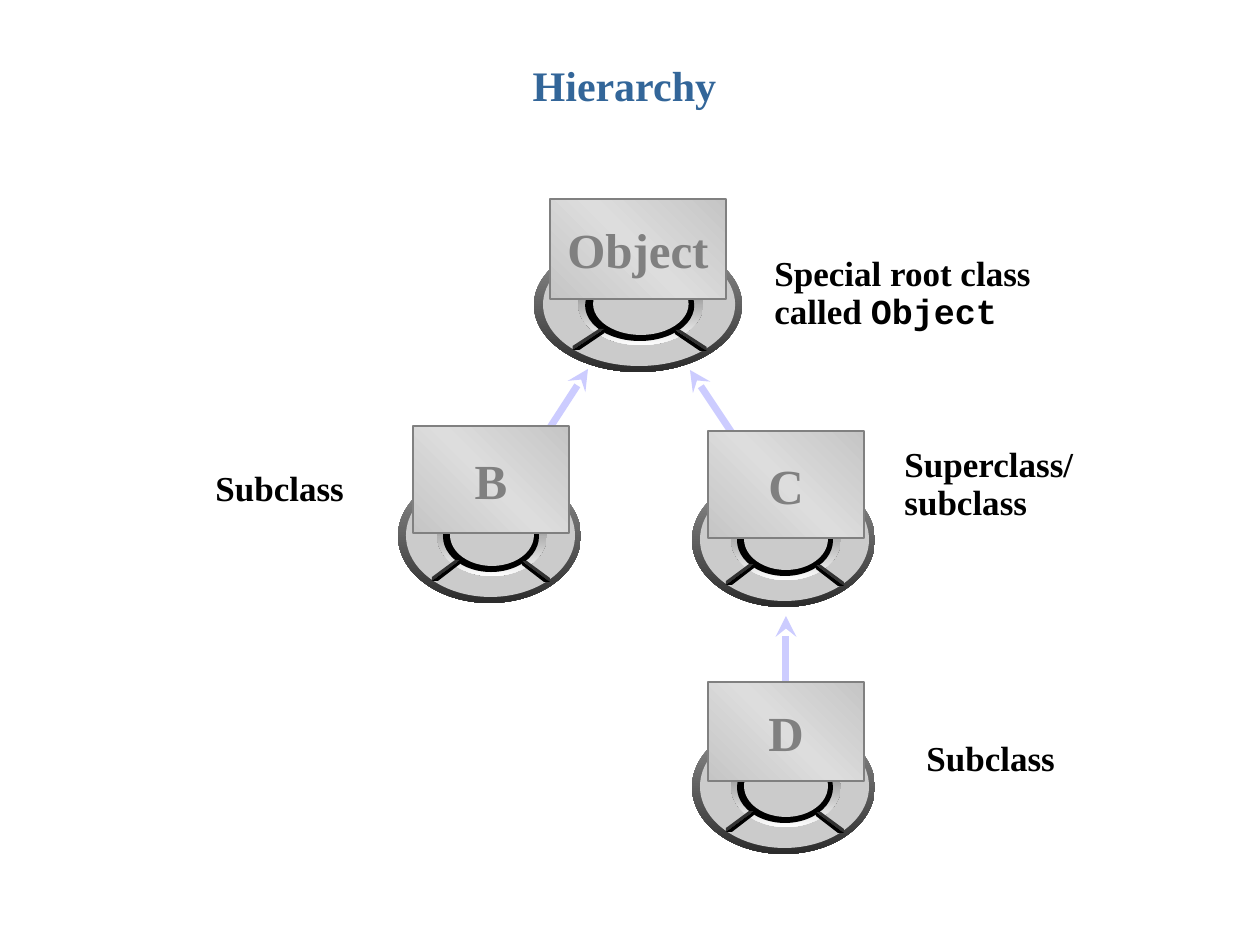
from lxml.etree import SubElement
from pptx import Presentation
from pptx.dml.color import RGBColor
from pptx.enum.shapes import MSO_CONNECTOR, MSO_SHAPE
from pptx.enum.text import MSO_ANCHOR, PP_ALIGN
from pptx.oxml.ns import qn
from pptx.util import Emu, Pt

PX_PER_INCH = 126
SERIF = "Times New Roman"
MONO = "Courier New"

BLACK = RGBColor(0x00, 0x00, 0x00)
BLUE = RGBColor(0x33, 0x66, 0x99)
LAVENDER = RGBColor(0xCC, 0xCC, 0xFF)
GREY = RGBColor(0x80, 0x80, 0x80)
SILVER = RGBColor(0xCB, 0xCB, 0xCB)
CHARCOAL = RGBColor(0x33, 0x33, 0x33)
RIM = (RGBColor(0x96, 0x96, 0x96), RGBColor(0x2C, 0x2C, 0x2C))
SHADE = (RGBColor(0x5F, 0x5F, 0x5F), RGBColor(0xFE, 0xFE, 0xFE))
PLATE_EDGE = RGBColor(0xC5, 0xC5, 0xC5)
PLATE = (PLATE_EDGE, RGBColor(0xDD, 0xDD, 0xDD), PLATE_EDGE)

DIAL_WIDTH, DIAL_HEIGHT = 183, 134
DIAL_RINGS = [
    ((0, 0, 183, 134), RIM),
    ((8, 5, 169, 123), SILVER),
    ((39, 26, 110, 81), SHADE),
    ((45, 32, 96, 71), BLACK),
    ((52, 35, 84, 62), SILVER),
]
SLOT_CORNERS = [(152, 113, -1, -1), (155, 19, -1, 1), (27, 20, 1, 1), (34, 112, 1, -1)]
STEEP_EDGE = [(0, 0), (28, 21), (23, 21), (0, 4)]
FLAT_EDGE = [(0, 0), (28, 21), (28, 17), (6, 0)]

NODES = [
    ("C", (692, 473, 183, 134), (708, 431, 156, 107)),
    ("D", (692, 720, 183, 134), (708, 682, 156, 99)),
    ("B", (398, 469, 183, 134), (413, 426, 156, 107)),
    ("Object", (534, 238, 208, 134), (550, 199, 176, 100)),
]
ARROWS = [
    ((786, 738), (786, 616)),
    ((788, 517), (690, 370)),
    ((490, 520), (588, 369)),
]
CAPTIONS = [
    ("Superclass/\vsubclass", "", (892, 441, 247, 76)),
    ("Subclass", "", (914, 735, 241, 58)),
    ("Special root class\vcalled ", "Object", (762, 250, 287, 76)),
    ("Subclass", "", (203, 465, 253, 48)),
]


def px(length):
    return Emu(round(length * 914400 / PX_PER_INCH))


def paint(shape, colour, angle=270):
    shape.shadow.inherit = False
    shape.line.fill.background()
    if isinstance(colour, RGBColor):
        shape.fill.solid()
        shape.fill.fore_color.rgb = colour
        return
    shape.fill.gradient()
    shape.fill.gradient_angle = angle
    stops = shape._element.spPr.find(".//" + qn("a:gsLst"))
    for stop in list(stops):
        stops.remove(stop)
    for index, shade in enumerate(colour):
        position = index * 100000 // (len(colour) - 1)
        stop = SubElement(stops, qn("a:gs"), pos=str(position))
        SubElement(stop, qn("a:srgbClr"), val=str(shade))


def style(span, size, colour, font=SERIF):
    span.font.name = font
    span.font.size = Pt(size)
    span.font.bold = True
    span.font.color.rgb = colour


def add_dial(page, box):
    left, top, width, height = box
    scale_x, scale_y = width / DIAL_WIDTH, height / DIAL_HEIGHT
    for (x, y, w, h), colour in DIAL_RINGS:
        ring = page.shapes.add_shape(
            MSO_SHAPE.OVAL,
            px(left + x * scale_x), px(top + y * scale_y),
            px(w * scale_x), px(h * scale_y),
        )
        paint(ring, colour)
    for x, y, step_x, step_y in SLOT_CORNERS:
        colours = (CHARCOAL, BLACK) if step_y < 0 else (BLACK, CHARCOAL)
        for edge, colour in zip((STEEP_EDGE, FLAT_EDGE), colours):
            points = [
                (px(left + (x + step_x * dx) * scale_x),
                 px(top + (y + step_y * dy) * scale_y))
                for dx, dy in edge
            ]
            builder = page.shapes.build_freeform(*points[0])
            builder.add_line_segments(points[1:], close=True)
            paint(builder.convert_to_shape(), colour)


def add_plate(page, box, name):
    plate = page.shapes.add_shape(MSO_SHAPE.RECTANGLE, *map(px, box))
    paint(plate, PLATE, 225)
    plate.line.color.rgb = GREY
    plate.line.width = Pt(1)
    frame = plate.text_frame
    frame.text = name
    frame.word_wrap = False
    frame.vertical_anchor = MSO_ANCHOR.MIDDLE
    para = frame.paragraphs[0]
    para.alignment = PP_ALIGN.CENTER
    style(para.runs[0], 28, GREY)


def add_arrow(page, start, end):
    arrow = page.shapes.add_connector(
        MSO_CONNECTOR.STRAIGHT, *map(px, start + end))
    arrow.line.color.rgb = LAVENDER
    arrow.line.width = Pt(4)
    SubElement(arrow.line._get_or_add_ln(), qn("a:tailEnd"), type="stealth")
    SubElement(arrow._element.spPr, qn("a:effectLst"))


def add_text(page, box, text):
    frame = page.shapes.add_textbox(*map(px, box)).text_frame
    frame.word_wrap = True
    frame.text = text
    return frame.paragraphs[0]


def add_caption(page, box, text, code):
    para = add_text(page, box, text)
    para.line_spacing = 0.9
    for span in para.runs:
        style(span, 20, BLACK)
    if code:
        span = para.add_run()
        span.text = code
        style(span, 20, BLACK, MONO)


def add_title(page, box, text):
    para = add_text(page, box, text)
    para.alignment = PP_ALIGN.CENTER
    style(para.runs[0], 24, BLUE)


def main():
    deck = Presentation()
    deck.slide_width, deck.slide_height = px(1260), px(945)
    page = deck.slides.add_slide(deck.slide_layouts[6])
    add_title(page, (462, 53, 325, 84), "Hierarchy")
    for start, end in ARROWS:
        add_arrow(page, start, end)
    for name, dial, plate in NODES:
        add_dial(page, dial)
        add_plate(page, plate, name)
    for text, code, box in CAPTIONS:
        add_caption(page, box, text, code)
    deck.save("out.pptx")


if __name__ == "__main__":
    main()
